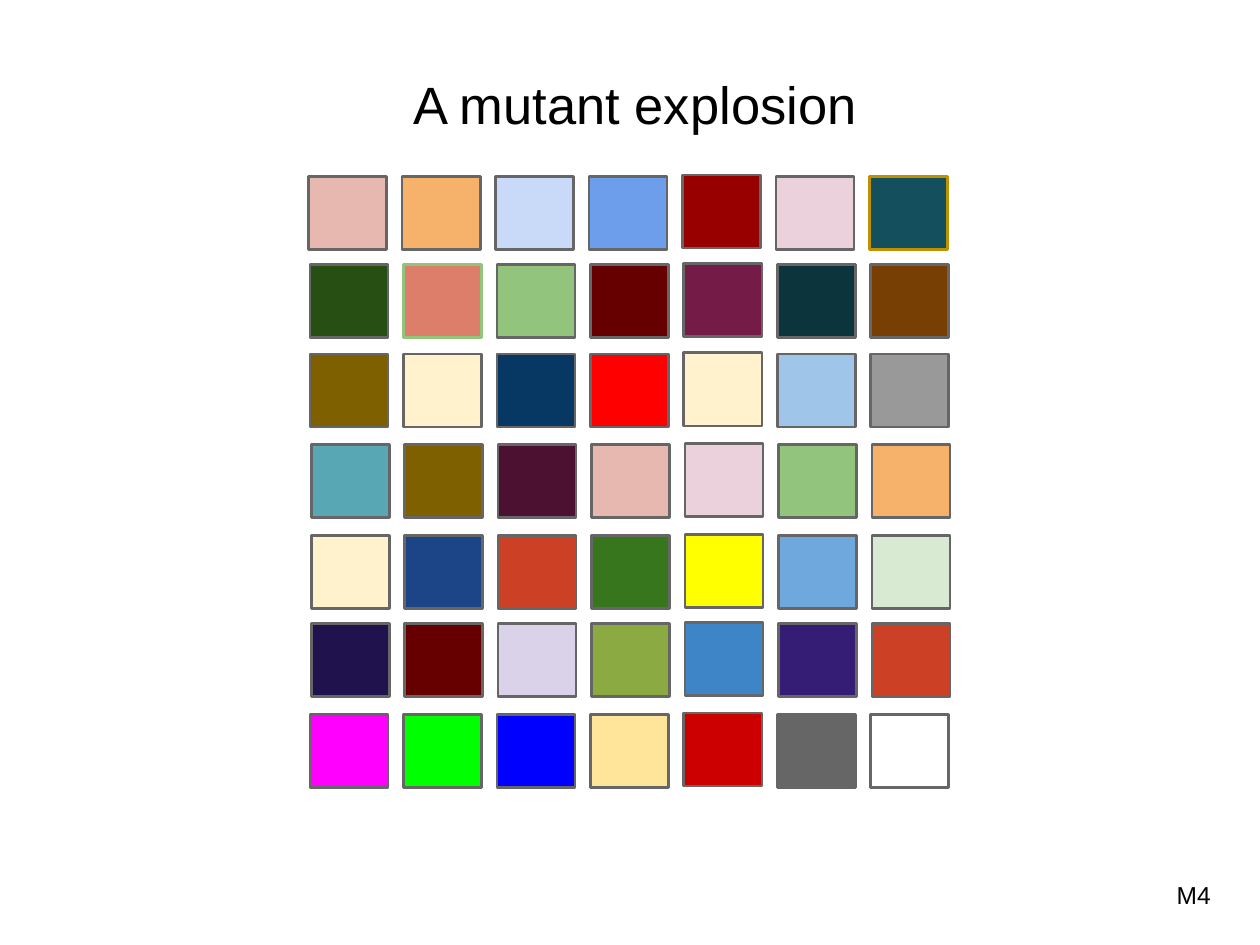
import dataclasses

import pptx
import pptx.dml.color
import pptx.enum.shapes
import pptx.enum.text
import pptx.util
from pptx.util import Inches


@dataclasses.dataclass(frozen=True)
class Theme:
    """Colours, type sizes and line width of the slide."""
    font: str = "Arial"
    text: str = "000000"
    border: str = "666666"
    title_size: int = 30
    label_size: int = 14
    border_width: float = 1.5


THEME = Theme()

MUTANT_ROWS = (
    (2.45, 1.40, "E6B8AF F6B26B C9DAF8 6D9EEB 980000 EAD1DC 134F5C"),
    (2.46, 2.10, "274E13 DD7E6B 93C47D 660000 741B47 0C343D 783F04"),
    (2.46, 2.81, "7F6000 FFF2CC 073763 FF0000 FFF2CC 9FC5E8 999999"),
    (2.47, 3.53, "57A7B5 7F6000 4C1130 E6B8AF EAD1DC 93C47D F6B26B"),
    (2.47, 4.25, "FFF2CC 1C4587 CC4125 38761D FFFF00 6FA8DC D9EAD3"),
    (2.47, 4.95, "20124D 660000 D9D2E9 8BAB42 3D85C6 351C75 CC4125"),
    (2.46, 5.67, "FF00FF 00FF00 0000FF FFE599 CC0000 666666 FFFFFF"),
)
SPECIAL_BORDERS = {(0, 6): "BF9000", (1, 1): "93C47D"}
RAISED_COLUMN = 4


def rgb(value):
    """Return a colour from its hexadecimal value."""
    return pptx.dml.color.RGBColor.from_string(value)


def write_text(shape, text, size, alignment):
    """Put one formatted paragraph in a shape."""
    frame = shape.text_frame
    frame.text = text
    frame.word_wrap = True
    frame.auto_size = pptx.enum.text.MSO_AUTO_SIZE.NONE
    frame.vertical_anchor = pptx.enum.text.MSO_ANCHOR.MIDDLE
    frame.margin_left = frame.margin_right = Inches(0.1)
    frame.margin_top = frame.margin_bottom = Inches(0.1)
    paragraph = frame.paragraphs[0]
    paragraph.alignment = alignment
    font = paragraph.runs[0].font
    font.name = THEME.font
    font.size = pptx.util.Pt(size)
    font.color.rgb = rgb(THEME.text)


def place_title(slide, left, top, width, height):
    """Place the heading in the title placeholder."""
    title = slide.shapes.title
    title.left, title.top, title.width, title.height = left, top, width, height
    write_text(title, "A mutant explosion", THEME.title_size,
               pptx.enum.text.PP_ALIGN.CENTER)


def place_mutant_row(group, row, left, top, width, height, colours):
    """Spread one row of coloured mutants evenly over the given box."""
    mutant_width = Inches(0.62)
    pitch = (width - mutant_width) / (len(colours) - 1)
    for column, colour in enumerate(colours):
        lift = Inches(0.01) if column == RAISED_COLUMN else 0
        mutant = group.shapes.add_shape(
            pptx.enum.shapes.MSO_SHAPE.RECTANGLE,
            round(left + column * pitch), top - lift, mutant_width, height)
        mutant.shadow.inherit = False
        mutant.fill.solid()
        mutant.fill.fore_color.rgb = rgb(colour)
        border = SPECIAL_BORDERS.get((row, column), THEME.border)
        mutant.line.color.rgb = rgb(border)
        mutant.line.width = pptx.util.Pt(THEME.border_width)


def place_label(slide, left, top, width, height):
    """Place the slide label in the given box."""
    label = slide.shapes.add_textbox(left, top, width, height)
    write_text(label, "M4", THEME.label_size, pptx.enum.text.PP_ALIGN.LEFT)


def main():
    """Build the slide and save it."""
    presentation = pptx.Presentation()
    presentation.slide_width = Inches(10)
    presentation.slide_height = Inches(7.5)
    slide = presentation.slides.add_slide(presentation.slide_layouts[5])
    place_title(slide, Inches(2.83), Inches(0.44), Inches(4.42), Inches(0.76))
    group = slide.shapes.add_group_shape()
    for row, (left, top, colours) in enumerate(MUTANT_ROWS):
        place_mutant_row(group, row, Inches(left), Inches(top),
                         Inches(5.07), Inches(0.58), colours.split())
    place_label(slide, Inches(9.24), Inches(6.87), Inches(0.58), Inches(0.46))
    presentation.save("out.pptx")


if __name__ == "__main__":
    main()
